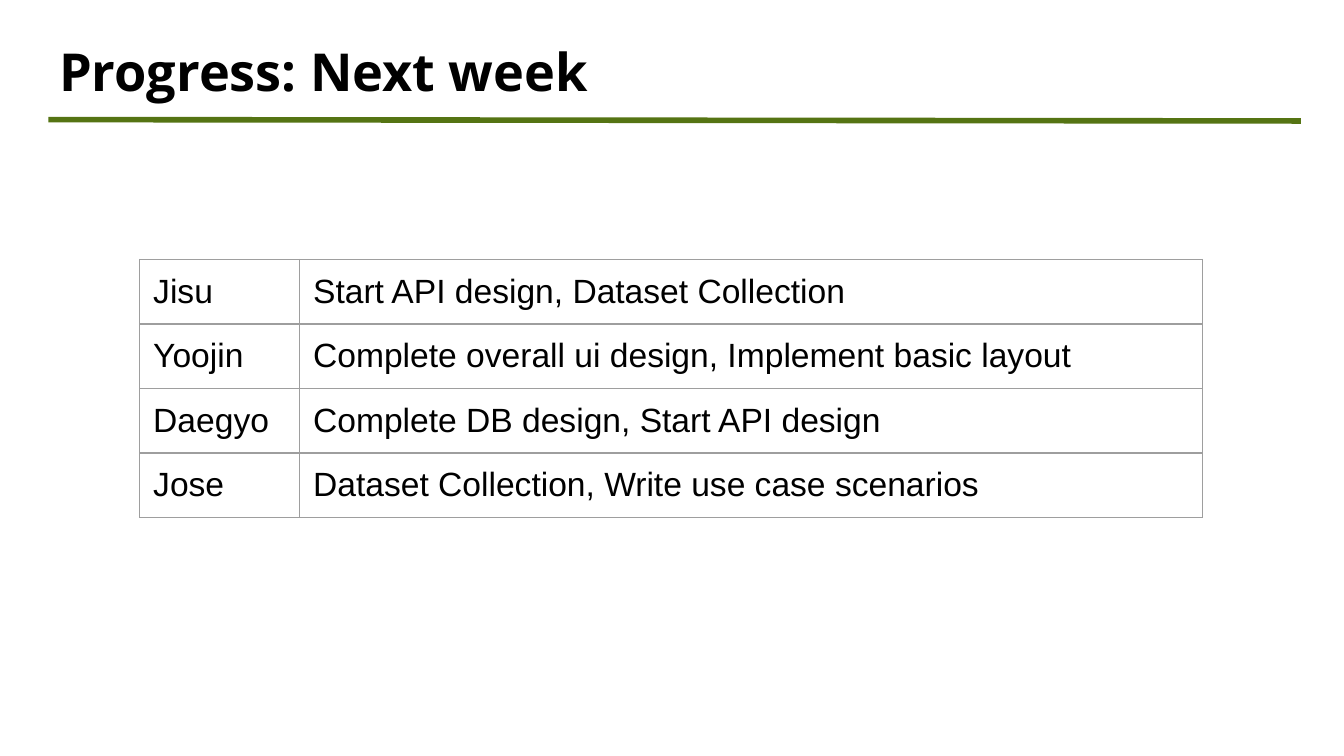
from typing import NamedTuple

from lxml import etree
from pptx import Presentation
from pptx.dml.color import RGBColor
from pptx.enum.shapes import MSO_CONNECTOR
from pptx.enum.text import MSO_ANCHOR, MSO_AUTO_SIZE, PP_ALIGN
from pptx.oxml.ns import qn
from pptx.util import Inches, Pt

STRAIGHT = MSO_CONNECTOR.STRAIGHT
MIDDLE = MSO_ANCHOR.MIDDLE
NO_AUTOFIT = MSO_AUTO_SIZE.NONE
LEFT = PP_ALIGN.LEFT

TITLE_ONLY_LAYOUT = 5
SLIDE_WIDTH = Inches(10)
SLIDE_HEIGHT = SLIDE_WIDTH * 9 // 16
INSET = Inches(0.1)
COLUMN_WIDTHS = (Inches(1.19), Inches(6.72))
ROW_HEIGHT = Inches(0.48)
BLACK, GREEN, GREY = "000000", "557413", "9E9E9E"


class Task(NamedTuple):
    member: str
    plan: str


TASKS = (
    Task("Jisu", "Start API design, Dataset Collection"),
    Task("Yoojin", "Complete overall ui design, Implement basic layout"),
    Task("Daegyo", "Complete DB design, Start API design"),
    Task("Jose", "Dataset Collection, Write use case scenarios"),
)


def color(value: str) -> RGBColor:
    return RGBColor.from_string(value)


def set_insets(holder) -> None:
    holder.margin_left = holder.margin_right = INSET
    holder.margin_top = holder.margin_bottom = INSET


def write_text(text_frame, text: str, *, font: str, size: float,
               bold: bool = False, line_spacing: float = 1.0) -> None:
    paragraph = text_frame.paragraphs[0]
    paragraph.alignment = LEFT
    paragraph.line_spacing = line_spacing
    run = paragraph.add_run()
    run.text = text
    run.font.name = font
    run.font.size = Pt(size)
    run.font.bold = bold
    run.font.color.rgb = color(BLACK)


def add_borders(cell, border_color: str, width: float) -> None:
    properties = cell._tc.get_or_add_tcPr()
    for side in ("lnL", "lnR", "lnT", "lnB"):
        line = etree.SubElement(properties, qn(f"a:{side}"), w=str(Pt(width)))
        fill = etree.SubElement(line, qn("a:solidFill"))
        etree.SubElement(fill, qn("a:srgbClr"), val=border_color)


def add_title(slide, text: str) -> None:
    title = slide.shapes.title
    title.left, title.top = Inches(0.34), Inches(0.24)
    title.width, title.height = Inches(9.32), Inches(0.63)
    text_frame = title.text_frame
    text_frame.word_wrap = True
    text_frame.auto_size = NO_AUTOFIT
    text_frame.vertical_anchor = MIDDLE
    set_insets(text_frame)
    write_text(text_frame, text, font="Open Sans", size=28, bold=True,
               line_spacing=0.9)


def add_title_rule(slide) -> None:
    rule = slide.shapes.add_connector(
        STRAIGHT, Inches(0.36), Inches(0.89), Inches(9.68), Inches(0.9))
    rule.line.color.rgb = color(GREEN)
    rule.line.width = Pt(3)
    etree.SubElement(rule._element.spPr, qn("a:effectLst"))


def add_task_table(slide, tasks: tuple[Task, ...]) -> None:
    table = slide.shapes.add_table(
        len(tasks), len(COLUMN_WIDTHS), Inches(1.04), Inches(1.93),
        sum(COLUMN_WIDTHS), ROW_HEIGHT * len(tasks)).table
    table.first_row = table.horz_banding = False
    for column, width in zip(table.columns, COLUMN_WIDTHS):
        column.width = width
    for row, task in zip(table.rows, tasks):
        row.height = ROW_HEIGHT
        for cell, text in zip(row.cells, task):
            set_insets(cell)
            add_borders(cell, GREY, 0.75)
            cell.fill.background()
            write_text(cell.text_frame, text, font="Arial", size=18)


def main() -> None:
    presentation = Presentation()
    presentation.slide_width = SLIDE_WIDTH
    presentation.slide_height = SLIDE_HEIGHT
    slide = presentation.slides.add_slide(
        presentation.slide_layouts[TITLE_ONLY_LAYOUT])

    # Heading with its green rule
    add_title_rule(slide)
    add_title(slide, "Progress: Next week")

    # Plan for each team member
    add_task_table(slide, TASKS)

    presentation.save("out.pptx")


if __name__ == "__main__":
    main()
